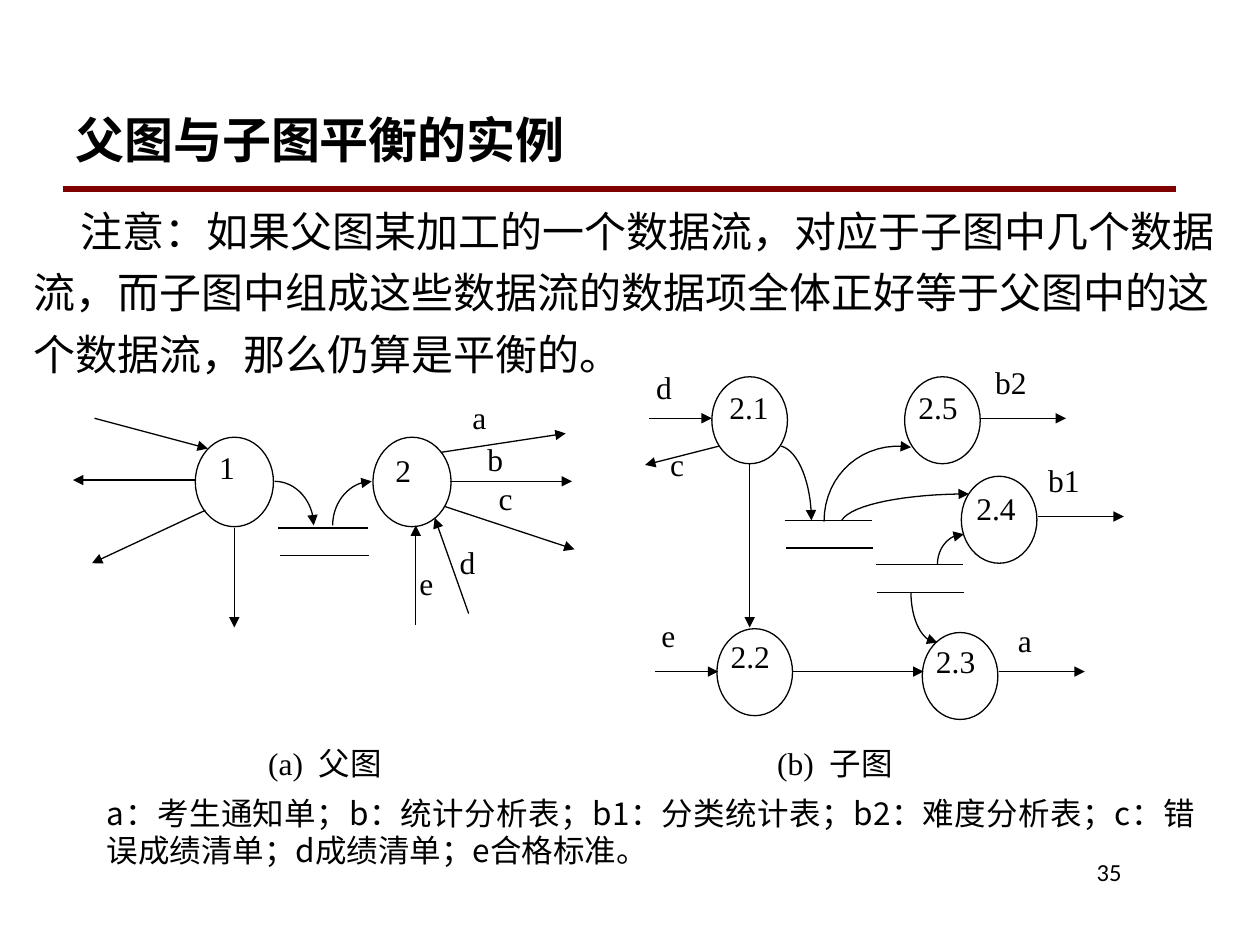
from typing import NamedTuple

from lxml.etree import SubElement
from pptx import Presentation
from pptx.dml.color import RGBColor
from pptx.enum.shapes import MSO_CONNECTOR, MSO_SHAPE
from pptx.enum.text import MSO_ANCHOR, PP_ALIGN
from pptx.oxml.ns import qn
from pptx.util import Inches, Pt

BLACK = RGBColor(0, 0, 0)
MAROON = RGBColor(0x80, 0, 0)
SANS = "Noto Sans CJK SC"
SERIF = "Times New Roman"
BODY = "Calibri"


class Node(NamedTuple):
    x: float
    y: float
    w: float
    h: float


class Line(NamedTuple):
    x1: float
    y1: float
    x2: float
    y2: float
    tip: bool = True


class Arc(NamedTuple):
    start: tuple
    bend1: tuple
    bend2: tuple
    end: tuple


class Label(NamedTuple):
    x: float
    y: float
    text: str
    w: float = 0.62
    h: float = 0.6


NODES = [Node(x, 3.47, 0.62, 0.71) for x in (1.55, 2.96)] + [
    Node(x, y, 0.6, 0.69)
    for x, y in ((5.65, 2.99), (5.69, 4.99), (7.32, 5.02), (7.63, 3.78), (7.18, 2.99))
]

STORES = [
    Line(x + step / 100, y + step * 0.22, x + step / 100 + w, y + step * 0.22, False)
    for x, y, w in ((2.21, 4.19, 0.71), (6.23, 4.13, 0.69), (6.95, 4.48, 0.69))
    for step in (0, 1)
]

FLOWS = [
    Line(0.75, 3.32, 1.65, 3.56),
    Line(1.55, 3.81, 0.58, 3.81),
    Line(1.63, 4.05, 0.73, 4.47),
    Line(1.86, 4.19, 1.86, 4.98),
    Line(3.5, 3.59, 4.49, 3.44),
    Line(3.57, 3.82, 4.54, 3.82),
    Line(3.53, 4.02, 4.56, 4.36),
    Line(3.72, 4.87, 3.45, 4.11),
    Line(3.3, 4.96, 3.3, 4.17),
    Line(5.15, 3.32, 5.65, 3.32),
    Line(5.71, 3.54, 5.12, 3.69),
    Line(5.95, 3.68, 5.95, 4.98),
    Line(5.2, 5.33, 5.7, 5.33),
    Line(6.29, 5.33, 7.33, 5.33),
    Line(7.93, 5.33, 8.61, 5.33),
    Line(8.24, 4.1, 8.92, 4.1),
    Line(7.78, 3.32, 8.46, 3.32),
]

ARCS = [
    Arc((2.18, 3.82), (2.35, 3.82), (2.49, 3.98), (2.49, 4.17)),
    Arc((2.64, 4.17), (2.64, 3.98), (2.78, 3.82), (2.95, 3.82)),
    Arc((6.2, 3.54), (6.34, 3.58), (6.44, 3.84), (6.44, 4.13)),
    Arc((6.54, 4.14), (6.54, 3.76), (6.86, 3.49), (7.23, 3.55)),
    Arc((6.68, 4.13), (6.76, 4), (7.2, 3.92), (7.69, 3.92)),
    Arc((7.44, 4.48), (7.44, 4.35), (7.53, 4.24), (7.65, 4.24)),
    Arc((7.23, 4.7), (7.23, 4.92), (7.32, 5.1), (7.44, 5.1)),
]

LABELS = [
    Label(1.64, 3.51, "1"),
    Label(3.04, 3.53, "2"),
    Label(3.65, 3.11, "a"),
    Label(3.77, 3.44, "b"),
    Label(3.86, 3.75, "c"),
    Label(3.55, 4.26, "d"),
    Label(3.23, 4.43, "e"),
    Label(5.69, 3.03, "2.1"),
    Label(5.7, 5.01, "2.2"),
    Label(7.33, 5.05, "2.3"),
    Label(7.65, 3.83, "2.4"),
    Label(7.19, 3.03, "2.5"),
    Label(5.11, 2.87, "d"),
    Label(5.22, 3.48, "c"),
    Label(5.15, 4.84, "e"),
    Label(7.98, 4.88, "a"),
    Label(8.22, 3.61, "b1"),
    Label(7.8, 2.83, "b2"),
]

CAPTIONS = [
    Label(2.03, 5.86, "(a)  父图", 1.67, 0.64),
    Label(6.07, 5.86, "(b)  子图", 1.67, 0.64),
]

TITLE = Label(0.5, 0.75, "父图与子图平衡的实例", 8.83, 0.7)
NOTE = Label(
    0.17, 1.58,
    "注意：如果父图某加工的一个数据流，对应于子图中几个数据\n"
    "流，而子图中组成这些数据流的数据项全体正好等于父图中的这\n"
    "个数据流，那么仍算是平衡的。",
    9.83, 1.83,
)
KEY = Label(
    0.75, 6.25,
    "a：考生通知单；b：统计分析表；b1：分类统计表；b2：难度分析表；"
    "c：错误成绩清单；d成绩清单；e合格标准。",
    8.83, 0.77,
)
PAGE = Label(7.58, 6.75, "35", 1.42, 0.5)


def ink(shape, color: RGBColor = BLACK, width: float = 0.75, tip: bool = False) -> None:
    """Style an outline and give it an arrowhead if asked."""
    shape.line.color.rgb = color
    shape.line.width = Pt(width)
    if tip:
        SubElement(shape.line._get_or_add_ln(), qn("a:tailEnd"), type="triangle")


def draw_line(slide, line: Line, color: RGBColor = BLACK, width: float = 0.75) -> None:
    """Draw a straight line or arrow."""
    ends = [Inches(v) for v in line[:4]]
    shape = slide.shapes.add_connector(MSO_CONNECTOR.STRAIGHT, *ends)
    ink(shape, color, width, line.tip)
    SubElement(shape._element.spPr, qn("a:effectLst"))


def draw_node(slide, node: Node) -> None:
    """Draw the ellipse of a process."""
    shape = slide.shapes.add_shape(MSO_SHAPE.OVAL, *[Inches(v) for v in node])
    shape.shadow.inherit = False
    shape.fill.background()
    ink(shape)


def draw_arc(slide, arc: Arc, steps: int = 16) -> None:
    """Draw a cubic curve that ends in an arrowhead."""
    points = []
    for i in range(steps + 1):
        t = i / steps
        parts = ((1 - t) ** 3, 3 * t * (1 - t) ** 2, 3 * t * t * (1 - t), t ** 3)
        points.append(tuple(
            Inches(sum(k * p[axis] for k, p in zip(parts, arc))) for axis in (0, 1)
        ))
    pen = slide.shapes.build_freeform(*points[0])
    pen.add_line_segments(points[1:], close=False)
    shape = pen.convert_to_shape()
    shape.shadow.inherit = False
    shape.fill.background()
    ink(shape, tip=True)


def write(slide, label: Label, font: str = SERIF, size: float = 18, bold: bool = False,
          align: PP_ALIGN = PP_ALIGN.JUSTIFY, pitch: float = 0):
    """Write a text box and return its frame."""
    box = slide.shapes.add_textbox(*[Inches(v) for v in (label.x, label.y, label.w, label.h)])
    frame = box.text_frame
    frame.word_wrap = True
    frame.text = label.text
    for para in frame.paragraphs:
        para.alignment = align
        if pitch:
            para.line_spacing = Pt(pitch)
        for run in para.runs:
            run.font.name = font
            run.font.size = Pt(size)
            run.font.bold = bold
            run.font.color.rgb = BLACK
            SubElement(run.font._element, qn("a:ea"), typeface=SANS)
    return frame


def main() -> None:
    """Build the slide and save it."""
    deck = Presentation()
    deck.slide_width, deck.slide_height = Inches(10), Inches(7.5)
    slide = deck.slides.add_slide(deck.slide_layouts[6])
    draw_line(slide, Line(0.5, 1.5, 9.33, 1.5, False), MAROON, 3)
    title = write(slide, TITLE, SANS, 28, True, PP_ALIGN.LEFT)
    title.vertical_anchor = MSO_ANCHOR.MIDDLE
    note = write(slide, NOTE, BODY, 24, align=PP_ALIGN.LEFT, pitch=29)
    note.paragraphs[0]._p.get_or_add_pPr().set("indent", str(Inches(0.37)))
    for para in note.paragraphs[1:]:
        para.space_before = Pt(6)
    for node in NODES:
        draw_node(slide, node)
    for line in STORES + FLOWS:
        draw_line(slide, line)
    for arc in ARCS:
        draw_arc(slide, arc)
    for label in LABELS:
        write(slide, label)
    for label in CAPTIONS:
        write(slide, label, pitch=21.6)
    write(slide, KEY, SANS, pitch=21.6)
    write(slide, PAGE, BODY, 14, align=PP_ALIGN.RIGHT)
    deck.save("out.pptx")


if __name__ == "__main__":
    main()
